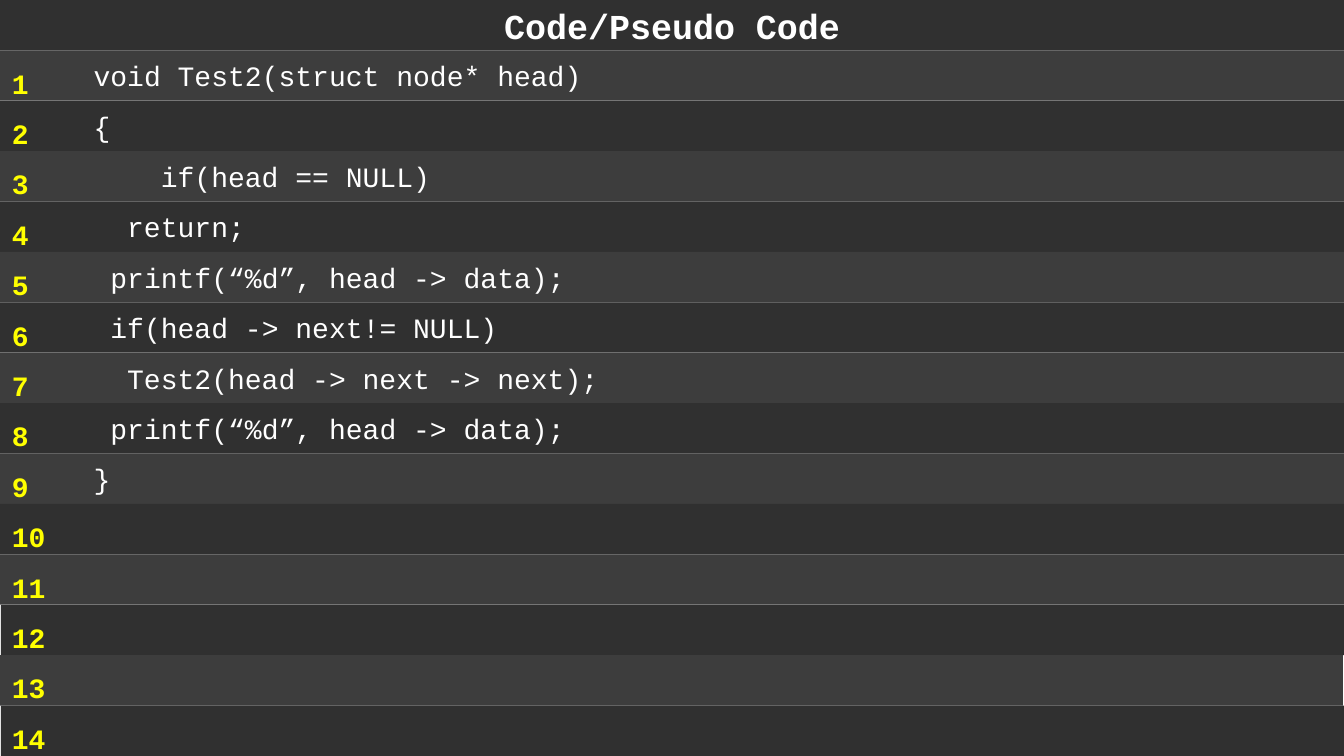
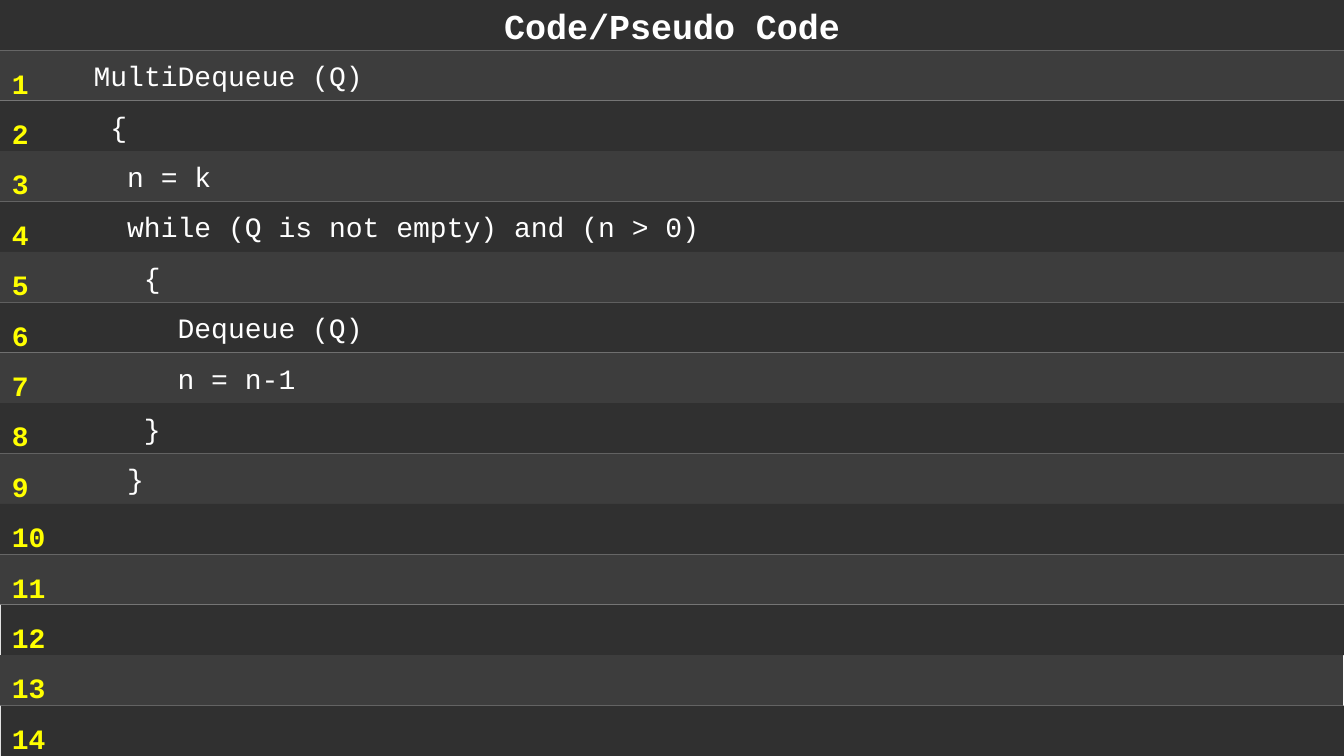
from dataclasses import dataclass

from pptx import Presentation
from pptx.dml.color import RGBColor
from pptx.enum.shapes import MSO_SHAPE
from pptx.enum.text import MSO_ANCHOR, MSO_AUTO_SIZE, PP_ALIGN
from pptx.util import Inches, Pt

RECTANGLE = MSO_SHAPE.RECTANGLE
MIDDLE = MSO_ANCHOR.MIDDLE
GROW = MSO_AUTO_SIZE.SHAPE_TO_FIT_TEXT
LEFT, CENTER = PP_ALIGN.LEFT, PP_ALIGN.CENTER


@dataclass(frozen=True)
class Theme:
    background: str = "FDFDFD"
    dark_band: str = "303030"
    light_band: str = "3D3D3D"
    code: str = "FFFFFF"
    number: str = "FFFF00"
    font: str = "Courier New"
    title_size: int = 25
    code_size: int = 20


# Lengths in inches
SLIDE_WIDTH, SLIDE_HEIGHT = 13.33, 7.5
BAND_HEIGHT = 0.5
LINE_COUNT = 14
BAND_OFFSETS = {12: 0.01, 13: -0.01, 14: 0.01}
CODE_INDENT = 0.83
CHARACTER_WIDTH = 1 / 6  # one column of 20 pt Courier New

TITLE = "Code/Pseudo Code"

# Each line of code: indent in columns, text
LISTINGS = [
    [
        (0, "void Test2(struct node* head)"),
        (0, "{"),
        (4, "if(head == NULL)"),
        (2, "return;"),
        (1, "printf(“%d”, head -> data);"),
        (1, "if(head -> next!= NULL)"),
        (2, "Test2(head -> next -> next);"),
        (1, "printf(“%d”, head -> data);"),
        (0, "}"),
    ],
    [
        (0, "MultiDequeue (Q)"),
        (1, "{"),
        (2, "n = k"),
        (2, "while (Q is not empty) and (n > 0)"),
        (3, "{"),
        (5, "Dequeue (Q)"),
        (5, "n = n-1"),
        (3, "}"),
        (2, "}"),
    ],
]


def write_text(paragraph, text, *, font, size, color, bold=False,
               align=LEFT, indent=0, line_spacing=None):
    """Fill a paragraph with one formatted run."""
    paragraph.alignment = align
    paragraph.line_spacing = line_spacing
    if indent:
        properties = paragraph._p.get_or_add_pPr()
        properties.set("marL", str(Inches(indent)))
        properties.set("indent", "0")
    run = paragraph.add_run()
    run.text = text
    run.font.name = font
    run.font.size = Pt(size)
    run.font.bold = bold
    run.font.color.rgb = RGBColor.from_string(color)


class CodeDeck:
    def __init__(self, theme):
        self.theme = theme
        self.presentation = Presentation()
        self.presentation.slide_width = Inches(SLIDE_WIDTH)
        self.presentation.slide_height = Inches(SLIDE_HEIGHT)
        self.slide = None

    def add_slide(self):
        blank_layout = self.presentation.slide_layouts[6]
        self.slide = self.presentation.slides.add_slide(blank_layout)
        fill = self.slide.background.fill
        fill.solid()
        fill.fore_color.rgb = RGBColor.from_string(self.theme.background)

    def add_band(self, row):
        """Add a full-width band; row 0 holds the title."""
        shape = self.slide.shapes.add_shape(
            RECTANGLE, Inches(BAND_OFFSETS.get(row, 0)),
            Inches(row * BAND_HEIGHT), Inches(SLIDE_WIDTH),
            Inches(BAND_HEIGHT))
        shape.shadow.inherit = False
        color = self.theme.light_band if row % 2 else self.theme.dark_band
        shape.fill.solid()
        shape.fill.fore_color.rgb = RGBColor.from_string(color)
        shape.line.fill.background()
        shape.text_frame.vertical_anchor = MIDDLE
        return shape.text_frame.paragraphs[0]

    def add_title(self, text):
        write_text(self.add_band(0), text, font=self.theme.font,
                   size=self.theme.title_size, color=self.theme.code,
                   bold=True, align=CENTER)

    def add_code_line(self, row, columns, text):
        write_text(self.add_band(row), text, font=self.theme.font,
                   size=self.theme.code_size, color=self.theme.code,
                   indent=CODE_INDENT + columns * CHARACTER_WIDTH)

    def add_line_numbers(self):
        box = self.slide.shapes.add_textbox(
            Inches(0.02), Inches(0.44), Inches(0.56), Inches(7.13))
        frame = box.text_frame
        frame.word_wrap = True
        frame.auto_size = GROW
        for number in range(1, LINE_COUNT + 1):
            paragraph = (frame.paragraphs[0] if number == 1
                         else frame.add_paragraph())
            write_text(paragraph, str(number), font=self.theme.font,
                       size=self.theme.code_size, color=self.theme.number,
                       bold=True, line_spacing=1.5)

    def add_listing(self, lines):
        self.add_slide()
        self.add_title(TITLE)
        for row, (columns, text) in enumerate(lines, start=1):
            self.add_code_line(row, columns, text)
        # Bands left without code
        for row in range(len(lines) + 1, LINE_COUNT + 1):
            self.add_band(row)
        self.add_line_numbers()


def main():
    deck = CodeDeck(Theme())
    for lines in LISTINGS:
        deck.add_listing(lines)
    deck.presentation.save("out.pptx")


if __name__ == "__main__":
    main()
